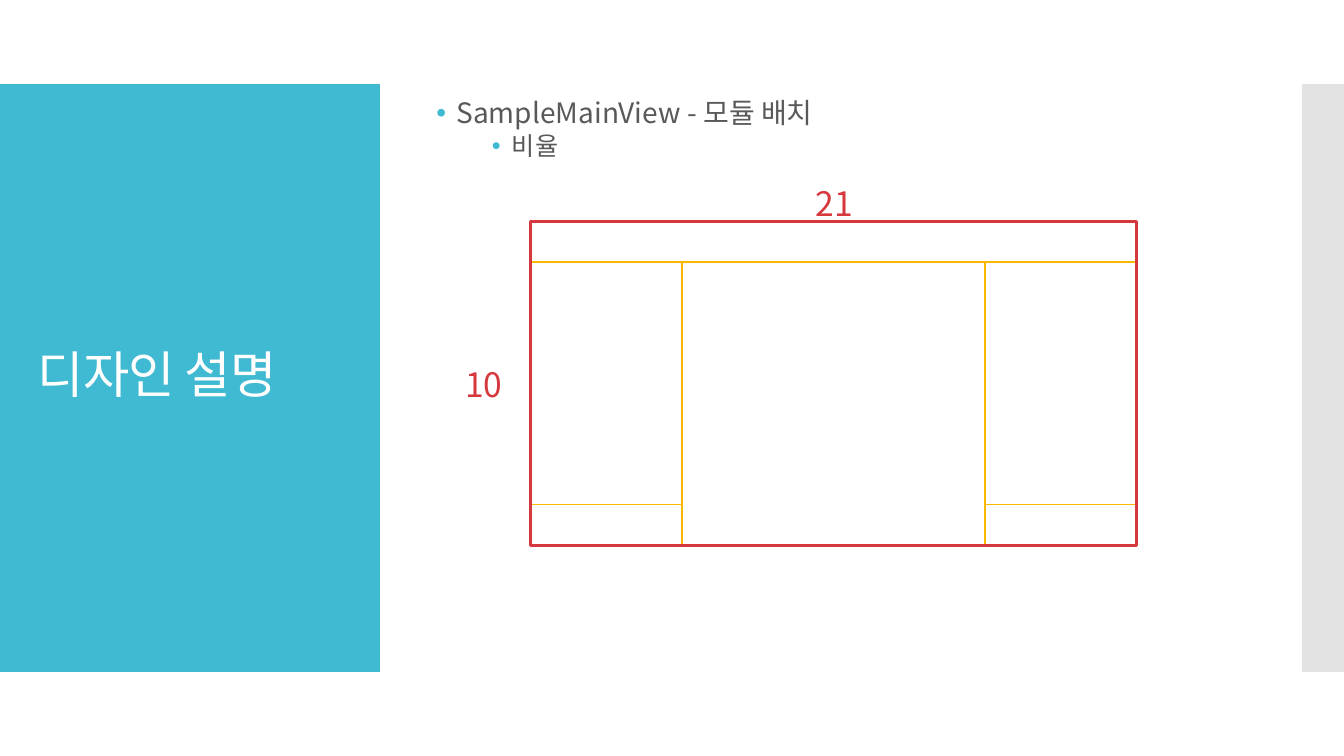
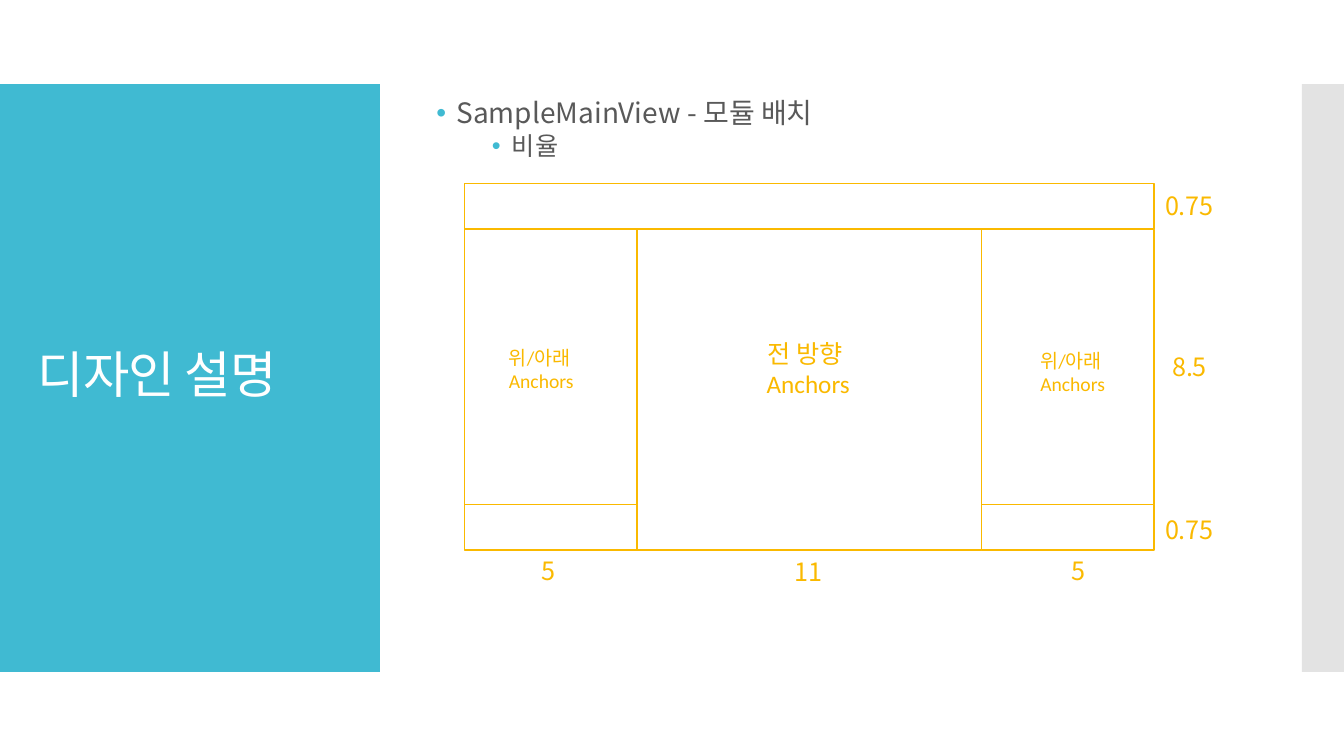
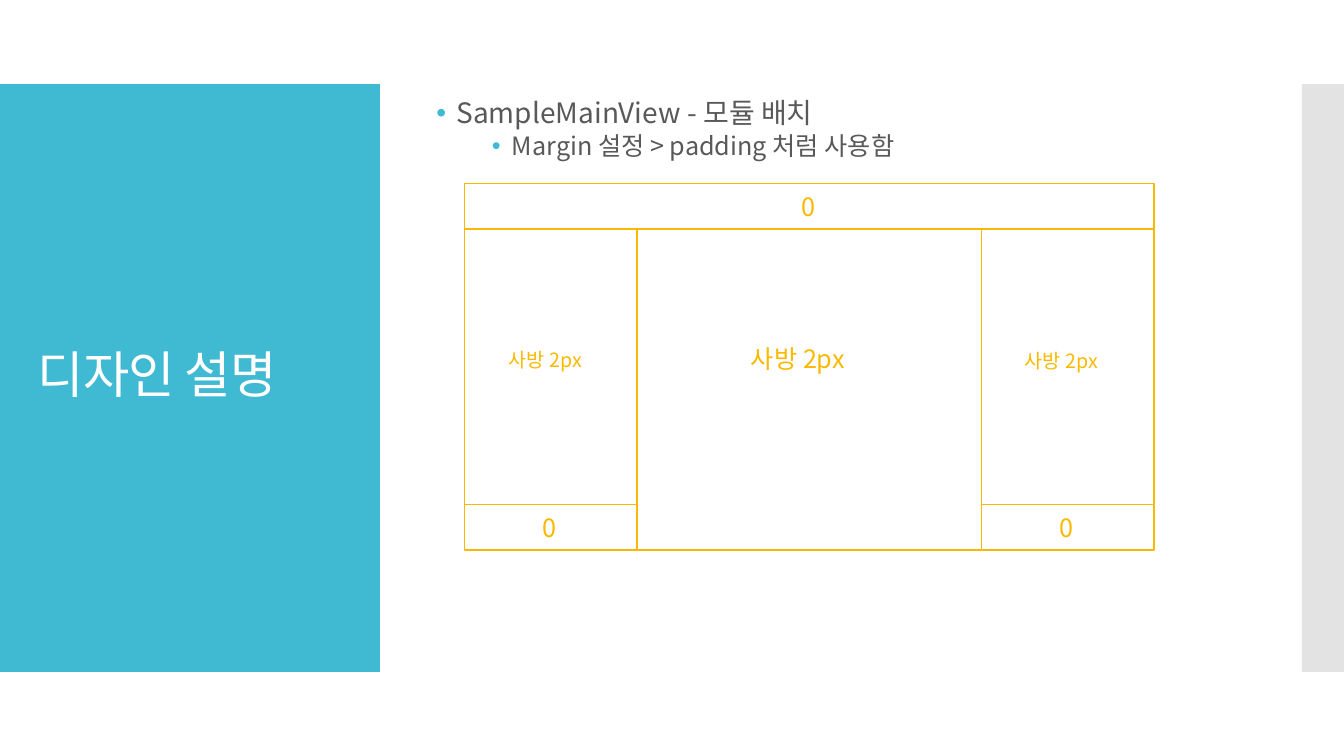
from itertools import product

from lxml.etree import SubElement
from pptx import Presentation
from pptx.dml.color import RGBColor
from pptx.enum.shapes import MSO_SHAPE
from pptx.enum.text import MSO_ANCHOR, MSO_AUTO_SIZE, PP_ALIGN
from pptx.oxml.ns import qn
from pptx.util import Pt

COLORS = {
    "band": "40BAD2",
    "edge": "C8C8C8",
    "title": "FFFFFF",
    "body": "595959",
    "module": "FAB900",
    "outline": "D5393D",
}
KOREAN = "Noto Sans CJK KR"
LATIN = "Calibri"
TITLE = "디자인 설명"
HEADING = "SampleMainView - 모듈 배치"
WIDE_FRAME = (332, 131, 492.4, 262)
SMALL_FRAME = (379, 158.4, 432.6, 231)


def rgb(name):
    return RGBColor.from_string(COLORS[name])


def add_rectangle(page, box, fill=None, line=None, weight=1):
    shape = page.shapes.add_shape(MSO_SHAPE.RECTANGLE, *map(Pt, box))
    shape.shadow.inherit = False
    if fill:
        shape.fill.solid()
        shape.fill.fore_color.rgb = rgb(fill)
    else:
        shape.fill.background()
    if line:
        shape.line.color.rgb = rgb(line)
        shape.line.width = Pt(weight)
    else:
        shape.line.fill.background()
    return shape


def add_text(page, box, text, size, color, font=KOREAN):
    frame = page.shapes.add_textbox(*map(Pt, box)).text_frame
    frame.word_wrap = True
    frame.text = text
    for paragraph in frame.paragraphs:
        for span in paragraph.runs:
            span.font.size = Pt(size)
            span.font.name = font
            span.font.color.rgb = rgb(color)
            SubElement(span.font._element, qn("a:ea"), typeface=KOREAN)
    return frame


def add_bullet(paragraph, margin, before):
    paragraph.line_spacing = 0.9
    paragraph.space_before = Pt(before)
    properties = paragraph._p.get_or_add_pPr()
    properties.set("marL", str(Pt(margin)))
    properties.set("indent", str(Pt(-14.4)))
    color = SubElement(properties, qn("a:buClr"))
    SubElement(color, qn("a:srgbClr"), val=COLORS["band"])
    SubElement(properties, qn("a:buFont"), typeface="Arial")
    SubElement(properties, qn("a:buChar"), char="•")


def add_bands(page):
    """Title band on the left, pale edge on the right."""
    add_rectangle(page, (0, 60, 271.4, 420), fill="band")
    edge = add_rectangle(page, (930, 60, 30, 420), fill="edge")
    color = edge._element.spPr.find(qn("a:solidFill"))[0]
    SubElement(color, qn("a:alpha"), val="50000")

    frame = add_text(page, (20, 88.6, 232, 362), TITLE, 36, "title")
    frame.vertical_anchor = MSO_ANCHOR.MIDDLE
    paragraph = frame.paragraphs[0]
    paragraph.line_spacing = 0.9
    paragraph.runs[0].font._element.set("spc", "-60")


def add_outline(page, box, topic):
    """Heading with one topic below it."""
    frame = add_text(page, box, f"{HEADING}\n{topic}", 20, "body")
    heading, detail = frame.paragraphs
    add_bullet(heading, margin=14.4, before=12)
    add_bullet(detail, margin=54, before=2.5)
    detail.runs[0].font.size = Pt(18)


def add_modules(page, box):
    """Top bar, two side columns with feet, and a centre twice as wide."""
    left, top, width, height = box
    column, row = width / 4, height / 8
    add_rectangle(page, (left, top, width, row), line="module")
    add_rectangle(page, (left + column, top + row, 2 * column, 7 * row), line="module")
    for side, (start, rows) in product((0, 3), ((1, 6), (7, 1))):
        part = (left + side * column, top + start * row, column, rows * row)
        add_rectangle(page, part, line="module")


def add_labels(page, box, labels, size=18, color="module", font=KOREAN, align=PP_ALIGN.CENTER):
    """Labels given as text, left, top and width, measured from the box corner."""
    for text, left, top, width in labels:
        height = 1.2 * size * (text.count("\n") + 1) + 7.2
        place = (box[0] + left, box[1] + top, width, height)
        frame = add_text(page, place, text, size, color, font)
        frame.auto_size = MSO_AUTO_SIZE.SHAPE_TO_FIT_TEXT
        for paragraph in frame.paragraphs:
            paragraph.alignment = align


def add_layout_page(deck, topic, frame):
    page = deck.slides.add_slide(deck.slide_layouts[6])
    add_bands(page)
    add_outline(page, (304.6, 67.7, 576, 67.7), topic)
    add_modules(page, frame)
    return page


def build_overall_ratio(deck):
    page = add_layout_page(deck, "비율", SMALL_FRAME)
    add_rectangle(page, SMALL_FRAME, line="outline", weight=2.25)
    labels = [("21", 178.5, -31, 77), ("10", -63, 98, 59)]
    add_labels(page, SMALL_FRAME, labels, size=24, color="outline")


def build_module_ratio(deck):
    page = add_layout_page(deck, "비율", WIDE_FRAME)
    # Widths below the frame, heights beside it
    sizes = [
        ("5", 30, 262, 59),
        ("11", 216, 263, 59),
        ("5", 409, 262, 59),
        ("0.75", 491.7, 1.5, 52),
        ("8.5", 491.7, 116.7, 52),
        ("0.75", 491.7, 232.6, 52),
    ]
    add_labels(page, WIDE_FRAME, sizes)
    # Anchors inside the modules
    add_labels(page, WIDE_FRAME, [("전 방향 \nAnchors", 205, 107.3, 80.6)], font=LATIN)
    sides = [("위/아래 \nAnchors", 24.4, 112.4, 69), ("위/아래 \nAnchors", 404, 114.5, 69)]
    add_labels(page, WIDE_FRAME, sides, size=14, font=LATIN, align=PP_ALIGN.LEFT)


def build_margins(deck):
    page = add_layout_page(deck, "Margin 설정 > padding 처럼 사용함", WIDE_FRAME)
    centred = [
        ("사방 2px", 193.6, 111, 88.6),
        ("0", 201.5, 2.2, 88.6),
        ("0", 16.5, 231.2, 88.6),
        ("0", 385.8, 231.2, 88.6),
    ]
    add_labels(page, WIDE_FRAME, centred)
    sides = [("사방 2px", 24.4, 113.8, 90), ("사방 2px", 393, 114.5, 74)]
    add_labels(page, WIDE_FRAME, sides, size=14, align=PP_ALIGN.LEFT)


def main():
    deck = Presentation()
    deck.slide_width, deck.slide_height = Pt(960), Pt(540)
    build_overall_ratio(deck)
    build_module_ratio(deck)
    build_margins(deck)
    deck.save("out.pptx")


if __name__ == "__main__":
    main()
